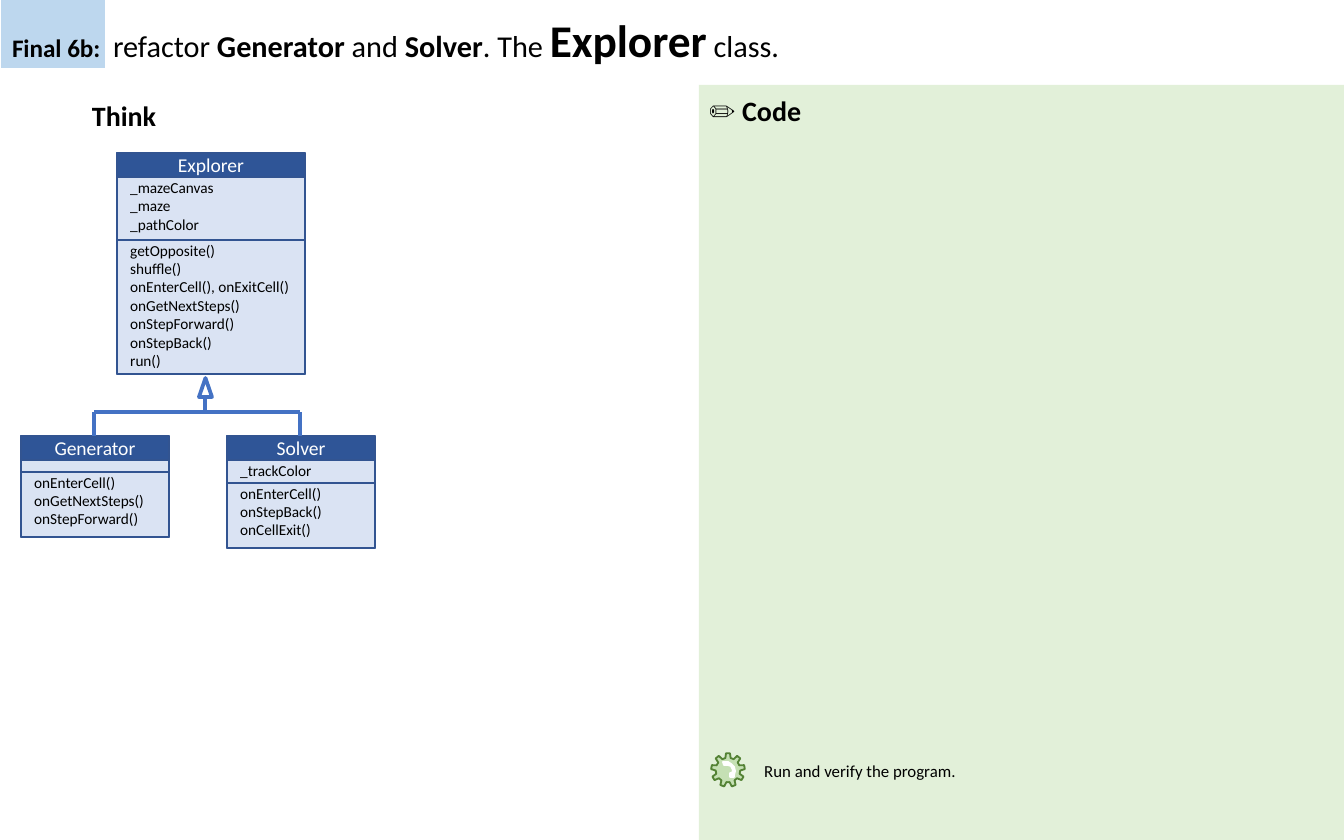
from dataclasses import dataclass

from lxml.etree import SubElement
from pptx import Presentation
from pptx.dml.color import RGBColor
from pptx.enum.shapes import MSO_CONNECTOR as Connector, MSO_SHAPE as Shape
from pptx.enum.text import MSO_ANCHOR as Anchor, MSO_AUTO_SIZE as AutoSize, PP_ALIGN as Align
from pptx.oxml.ns import qn
from pptx.util import Emu, Pt

PX = 914400 / 134.4


@dataclass(frozen=True)
class Theme:
    font: str = "Calibri"
    black: str = "000000"
    white: str = "FFFFFF"
    tag: str = "BDD7EE"
    code_panel: str = "E2F0D9"
    gear_fill: str = "C5E0B4"
    gear_line: str = "548235"
    class_fill: str = "DAE3F3"
    class_header: str = "2F5597"
    class_line: str = "325491"
    inheritance: str = "4472C4"
    title_size: float = 16.2
    title_tag_size: float = 13.5
    title_gap_size: float = 29.7
    title_key_size: float = 24.3
    heading_size: float = 15
    class_name_size: float = 10.5
    note_size: float = 9
    member_size: float = 8.2


theme = Theme()


def add_box(shapes, kind, bounds, fill=None, line=None, line_width=1):
    """Add a preset shape; bounds are left, top, width and height in px."""
    shape = shapes.add_shape(kind, *(Emu(round(value * PX)) for value in bounds))
    shape.shadow.inherit = False
    if fill:
        shape.fill.solid()
        shape.fill.fore_color.rgb = RGBColor.from_string(fill)
    else:
        shape.fill.background()
    if line:
        shape.line.color.rgb = RGBColor.from_string(line)
        shape.line.width = Pt(line_width)
    else:
        shape.line.fill.background()
    return shape


def add_run(paragraph, text, size, bold=False, color=theme.black):
    run = paragraph.add_run()
    run.text = text
    run.font.name = theme.font
    run.font.size = Pt(size)
    run.font.bold = bold
    run.font.color.rgb = RGBColor.from_string(color)


presentation = Presentation()
presentation.slide_width = Emu(round(1344 * PX))
presentation.slide_height = Emu(round(840 * PX))
slide = presentation.slides.add_slide(presentation.slide_layouts[5])
shapes = slide.shapes

# Background panels
add_box(shapes, Shape.RECTANGLE, (1, 0, 104, 68), theme.tag)
add_box(shapes, Shape.RECTANGLE, (699, 85, 645, 755), theme.code_panel)

# Title, brought in front of its tag
title = shapes.title
title.left, title.top, title.width, title.height = (
    Emu(round(value * PX)) for value in (0, 1, 1327, 69)
)
shapes._spTree.append(title._element)
frame = title.text_frame
frame.auto_size = AutoSize.NONE
frame.vertical_anchor = Anchor.MIDDLE
frame.margin_left = Emu(round(12 * PX))
frame.margin_top = frame.margin_right = frame.margin_bottom = 0
paragraph = frame.paragraphs[0]
paragraph.alignment = Align.LEFT
for text, size, bold in (
    ("Final 6b:", theme.title_tag_size, True),
    (" ", theme.title_gap_size, False),
    ("refactor ", theme.title_size, False),
    ("Generator", theme.title_size, True),
    (" and ", theme.title_size, False),
    ("Solver", theme.title_size, True),
    (". The ", theme.title_size, False),
    ("Explorer", theme.title_key_size, True),
    (" class.", theme.title_size, False),
):
    add_run(paragraph, text, size, bold)

# Section headings
for bounds, runs in (
    ((699, 85, 242, 55), (("✏ ", False), ("Code", True))),
    ((82, 90, 96, 55), (("Think", True),)),
):
    heading = shapes.add_textbox(*(Emu(round(value * PX)) for value in bounds))
    frame = heading.text_frame
    frame.word_wrap = True
    frame.vertical_anchor = Anchor.MIDDLE
    frame.margin_left = frame.margin_right = Emu(round(10 * PX))
    frame.margin_top = frame.margin_bottom = Emu(round(5 * PX))
    paragraph = frame.paragraphs[0]
    paragraph.line_spacing = 0.9
    for text, bold in runs:
        add_run(paragraph, text, theme.heading_size, bold)

# Gear with its highlight, and the note beside it
gear_icon = shapes.add_group_shape()
gear = add_box(gear_icon.shapes, Shape.GEAR_9, (711, 753, 34, 34), theme.gear_fill, theme.gear_line)
gear.adjustments[0] = 0.14
gear.adjustments[1] = 0.018
builder = gear_icon.shapes.build_freeform(723, 762, PX)
builder.add_line_segments((
    (728, 762), (731, 764), (734, 767), (735, 771), (734, 775), (734, 777), (730, 777),
    (730, 773), (732, 773), (733, 770), (731, 766), (728, 765), (724, 765),
))
highlight = builder.convert_to_shape()
highlight.shadow.inherit = False
highlight.fill.solid()
highlight.fill.fore_color.rgb = RGBColor.from_string(theme.white)
highlight.line.color.rgb = RGBColor.from_string(theme.white)
highlight.line.width = Pt(1)

note = shapes.add_textbox(*(Emu(round(value * PX)) for value in (751, 754, 239, 34)))
note.text_frame.word_wrap = True
note.text_frame.auto_size = AutoSize.SHAPE_TO_FIT_TEXT
paragraph = note.text_frame.paragraphs[0]
paragraph.space_before = Pt(4.5)
add_run(paragraph, "Run and verify the program.", theme.note_size)

# Class boxes: a header, then fields and methods stacked below it
HEADER_HEIGHT = 24
for name, left, top, width, compartments in (
    ("Generator", 21, 436, 148, (
        (12, ()),
        (65, ("onEnterCell()", "onGetNextSteps()", "onStepForward()")),
    )),
    ("Solver", 227, 436, 148, (
        (23, ("_trackColor",)),
        (65, ("onEnterCell()", "onStepBack()", "onCellExit()")),
    )),
    ("Explorer", 117, 153, 188, (
        (63, ("_mazeCanvas", "_maze", "_pathColor")),
        (134, ("getOpposite()", "shuffle()", "onEnterCell(), onExitCell()", "onGetNextSteps()",
               "onStepForward()", "onStepBack()", "run()")),
    )),
):
    total_height = HEADER_HEIGHT + sum(height for height, _ in compartments)
    add_box(shapes, Shape.RECTANGLE, (left, top, width, total_height),
            theme.class_fill, theme.class_line, 1.5)
    header = add_box(shapes, Shape.RECTANGLE, (left, top, width, HEADER_HEIGHT),
                     theme.class_header, theme.class_line)
    header.text_frame.vertical_anchor = Anchor.MIDDLE
    paragraph = header.text_frame.paragraphs[0]
    paragraph.alignment = Align.CENTER
    add_run(paragraph, name, theme.class_name_size, color=theme.white)

    compartment_top = top + HEADER_HEIGHT
    for height, members in compartments:
        compartment = add_box(shapes, Shape.RECTANGLE, (left, compartment_top, width, height),
                              theme.class_fill, theme.class_line, 0.75)
        compartment_top += height
        frame = compartment.text_frame
        frame.vertical_anchor = Anchor.TOP
        frame.margin_right = 0
        frame.margin_top = frame.margin_bottom = Emu(round(PX))
        for index, member in enumerate(members):
            paragraph = frame.add_paragraph() if index else frame.paragraphs[0]
            paragraph.alignment = Align.LEFT
            add_run(paragraph, member, theme.member_size)

# Inheritance arrow and its branches
add_box(shapes, Shape.ISOSCELES_TRIANGLE, (199, 378, 13, 19), line=theme.inheritance, line_width=2)
for ends in (
    (205, 412, 205, 397),
    (300, 412, 94, 412),
    (300, 436, 300, 412),
    (94, 436, 94, 412),
):
    branch = shapes.add_connector(Connector.STRAIGHT, *(Emu(round(value * PX)) for value in ends))
    branch.line.color.rgb = RGBColor.from_string(theme.inheritance)
    branch.line.width = Pt(2)
    SubElement(branch._element.spPr, qn("a:effectLst"))

presentation.save("out.pptx")
